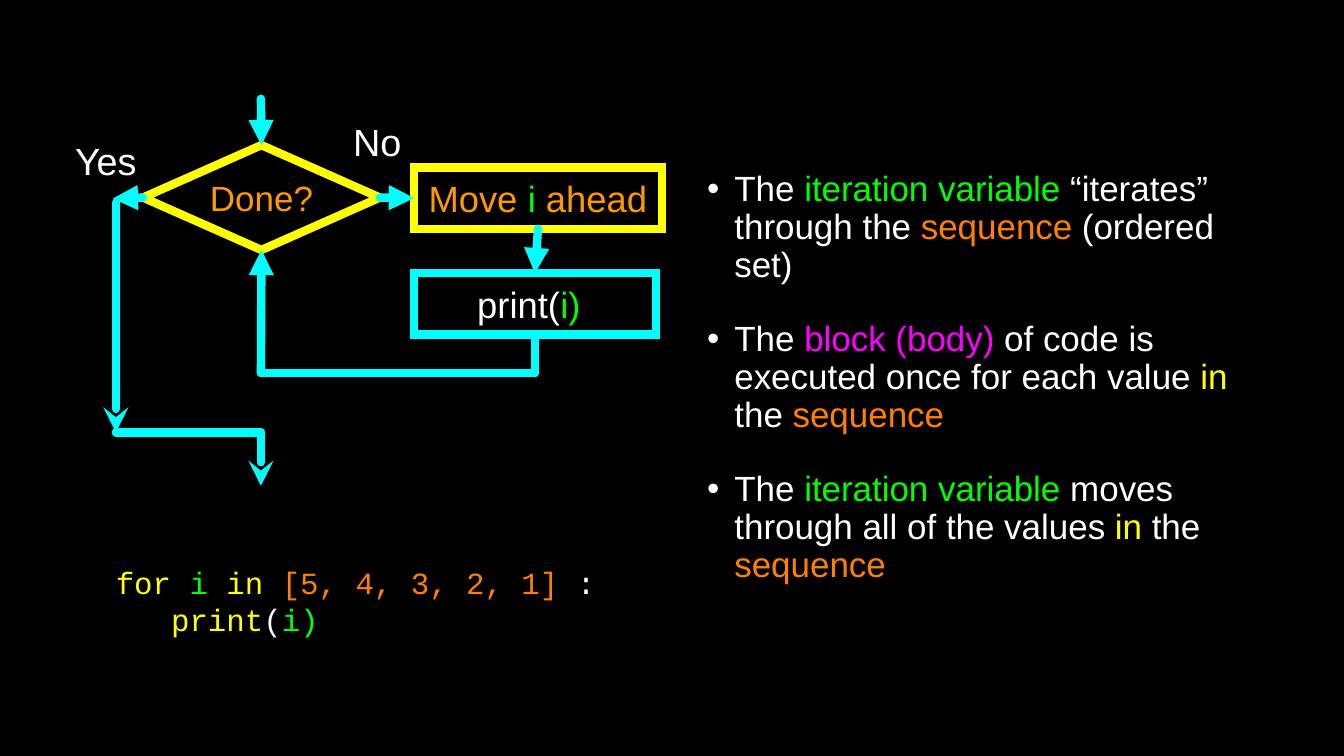
from lxml.etree import SubElement
from pptx import Presentation
from pptx.dml.color import RGBColor
from pptx.enum.shapes import MSO_CONNECTOR, MSO_SHAPE
from pptx.enum.text import MSO_ANCHOR, PP_ALIGN
from pptx.oxml.ns import qn
from pptx.util import Inches, Pt

CELL = Inches(0.1)
WHITE, YELLOW, CYAN, GREEN = "FFFFFF", "FFFF00", "00FFFF", "00FF00"
ORANGE, AMBER, MAGENTA = "FF7F00", "FF9900", "FF00FF"
TOP, LEFT, BOTTOM, RIGHT = range(4)

CODE = [
    [("for ", YELLOW), ("i ", GREEN), ("in ", YELLOW),
     ("[5, 4, 3, 2, 1] ", ORANGE), (":", WHITE)],
    [("   print", YELLOW), ("(", WHITE), ("i)", GREEN)],
]
BULLETS = [
    [("The ", WHITE), ("iteration variable ", GREEN),
     ("“iterates” through the ", WHITE), ("sequence ", ORANGE),
     ("(ordered set)", WHITE)],
    [("The ", WHITE), ("block (body)", MAGENTA),
     (" of code is executed once for each value ", WHITE),
     ("in", YELLOW), (" the ", WHITE), ("sequence", ORANGE)],
    [("The ", WHITE), ("iteration variable ", GREEN),
     ("moves through all of the values ", WHITE),
     ("in", YELLOW), (" the ", WHITE), ("sequence", ORANGE)],
]


def color(value):
    return RGBColor.from_string(value)


def grid(*cells):
    return [round(cell * CELL) for cell in cells]


def write(box, lines, size, font="Arial", align=PP_ALIGN.CENTER, inset=0):
    frame = box.text_frame
    frame.word_wrap = True
    frame.vertical_anchor = MSO_ANCHOR.MIDDLE
    frame.margin_left = frame.margin_right = Inches(inset)
    frame.margin_top = frame.margin_bottom = Inches(inset)
    for index, spans in enumerate(lines):
        para = frame.paragraphs[0] if index == 0 else frame.add_paragraph()
        para.alignment = align
        for text, hue in spans:
            span = para.add_run()
            span.text = text
            span.font.size = Pt(size)
            span.font.name = font
            span.font.color.rgb = color(hue)
    return frame


def add_label(page, place, lines, size, **style):
    return write(page.shapes.add_textbox(*grid(*place)), lines, size, **style)


def add_step(page, kind, place, outline, spans, size):
    step = page.shapes.add_shape(kind, *grid(*place))
    step.shadow.inherit = False
    step.fill.background()
    step.line.color.rgb = color(outline)
    step.line.width = Pt(6)
    SubElement(step.line._get_or_add_ln(), qn("a:miter"), lim="800000")
    write(step, [spans], size)
    return step


def add_flow(page, start, end, arrow=None, source=None, target=None):
    flow = page.shapes.add_connector(
        MSO_CONNECTOR.STRAIGHT, *grid(*start, *end))
    flow.line.color.rgb = color(CYAN)
    flow.line.width = Pt(6)
    line = flow.line._get_or_add_ln()
    line.set("cap", "rnd")
    SubElement(line, qn("a:round"))
    if arrow:
        SubElement(line, qn("a:tailEnd"), type=arrow)
    SubElement(flow._element.spPr, qn("a:effectLst"))
    if source:
        flow.begin_connect(*source)
    if target:
        flow.end_connect(*target)


def add_bullets(page, place):
    frame = add_label(page, place, BULLETS, 25,
                      align=PP_ALIGN.LEFT, inset=0.03)
    for index, para in enumerate(frame.paragraphs):
        para.line_spacing = 0.9
        if index:
            para.space_before = Pt(26.2)
        properties = para._p.get_or_add_pPr()
        properties.set("marL", str(Inches(0.41)))
        properties.set("indent", str(Inches(-0.27)))
        tint = SubElement(properties, qn("a:buClr"))
        SubElement(tint, qn("a:srgbClr"), val=WHITE)
        SubElement(properties, qn("a:buFont"), typeface="Arial")
        SubElement(properties, qn("a:buChar"), char="•")


def add_flowchart(page):
    done = add_step(page, MSO_SHAPE.DIAMOND, (14.2, 14.4, 23.5, 10.4),
                    YELLOW, [("Done?", AMBER)], 25)
    show = add_step(page, MSO_SHAPE.RECTANGLE, (41.1, 27.1, 24, 6.1),
                    CYAN, [("print(", WHITE), ("i)", GREEN)], 26)
    show.text_frame.margin_right = Inches(0.12)
    move = add_step(page, MSO_SHAPE.RECTANGLE, (41.1, 16.6, 24.6, 6.1),
                    YELLOW,
                    [("Move ", AMBER), ("i", GREEN), (" ahead", AMBER)], 26)

    entry, loop, exit_column = 25.9, 53.1, 11.5
    back_row, exit_row, middle = 37, 42.9, 19.7
    add_flow(page, (entry, 9.8), (entry, 14.4), "triangle",
             target=(done, TOP))
    add_flow(page, (37.7, middle), (41.1, middle), "triangle",
             (done, RIGHT), (move, LEFT))
    add_flow(page, (loop, 22.7), (loop, 27.1), "triangle",
             (move, BOTTOM), (show, TOP))
    add_flow(page, (loop, 33.2), (loop, back_row), source=(show, BOTTOM))
    add_flow(page, (loop, back_row), (entry, back_row))
    add_flow(page, (entry, back_row), (entry, 24.8), "triangle",
             target=(done, BOTTOM))
    add_flow(page, (14.2, middle), (11.2, middle), "triangle",
             source=(done, LEFT))
    add_flow(page, (exit_column, 20.1), (exit_column, exit_row), "stealth")
    add_flow(page, (exit_column, exit_row), (entry, exit_row))
    add_flow(page, (entry, exit_row), (entry, 48.2), "stealth")

    add_label(page, (6.9, 13.4, 7.2, 5.1), [[("Yes", WHITE)]], 27)
    add_label(page, (34.5, 11.5, 5.9, 5.1), [[("No", WHITE)]], 27)


def main():
    deck = Presentation()
    deck.slide_width, deck.slide_height = grid(133.4, 75)
    page = deck.slides.add_slide(deck.slide_layouts[6])
    page.background.fill.solid()
    page.background.fill.fore_color.rgb = color("000000")
    add_flowchart(page)
    add_bullets(page, (68.5, 14.1, 58.7, 46.8))
    add_label(page, (11.5, 55, 53.6, 9.1), CODE, 22,
              font="Courier New", align=PP_ALIGN.LEFT)
    deck.save("out.pptx")


if __name__ == "__main__":
    main()
